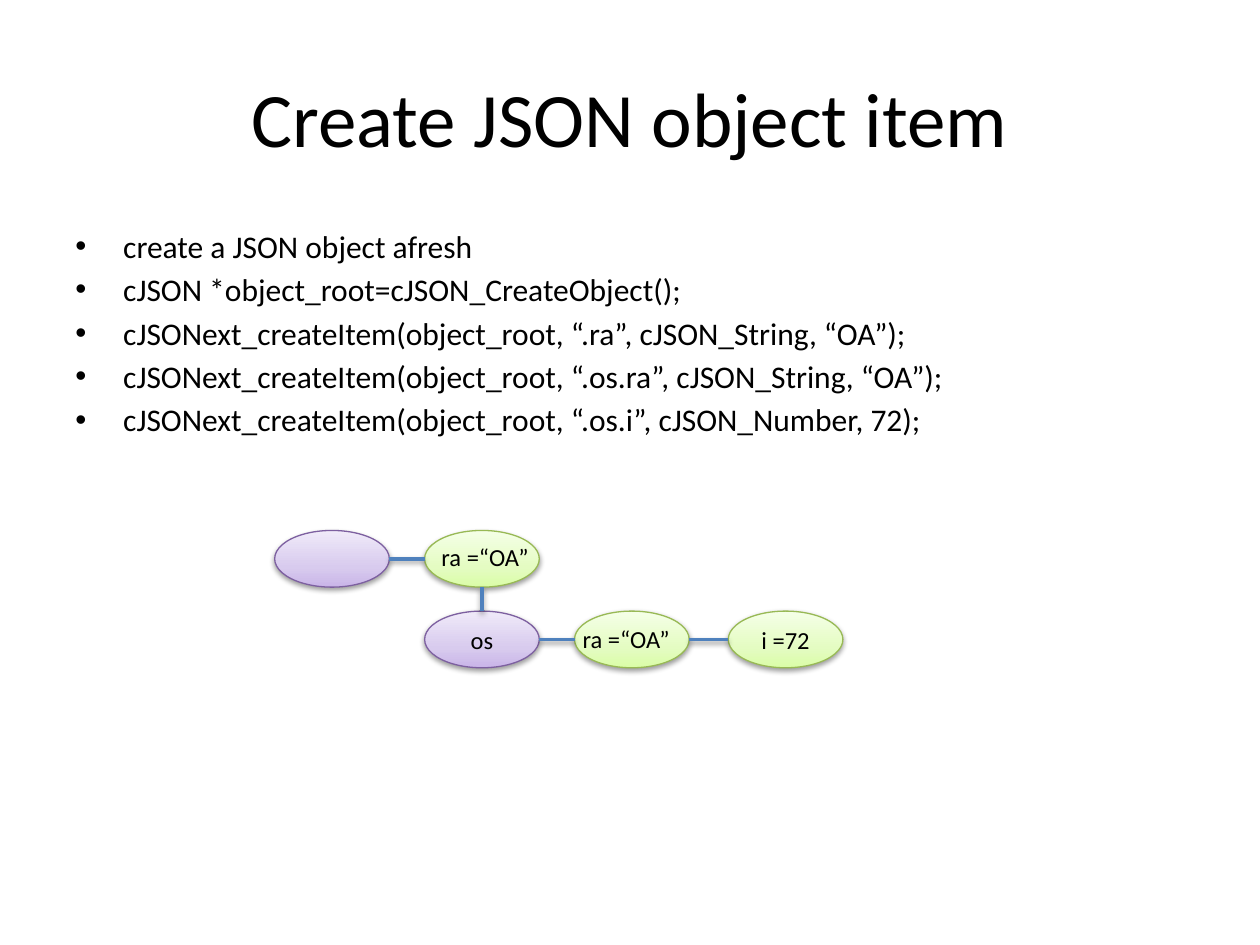
import pptx
import pptx.util
import pptx.dml.color
import pptx.enum.shapes
import pptx.enum.text
import pptx.oxml
import pptx.oxml.ns

Inches = pptx.util.Inches
Pt = pptx.util.Pt
qn = pptx.oxml.ns.qn
ALIGN = pptx.enum.text.PP_ALIGN
ANCHOR = pptx.enum.text.MSO_ANCHOR
NAMESPACE = pptx.oxml.ns.nsdecls("a")

COLORS = {
    "text": "000000",
    "link": "4F81BD",
    "object_line": "7D60A0",
    "value_line": "98B955",
    "shadow": "000000",
}
GRADIENTS = {
    "object": [(0, "C9B5E8"), (35, "D8CBEE"), (100, "F0EAF9")],
    "value": [(0, "DAFDA7"), (35, "E4FCC2"), (100, "F5FFE7")],
}
NODE_WIDTH, NODE_HEIGHT = 0.91, 0.45
CALLS = [
    "create a JSON object afresh",
    "cJSON *object_root=cJSON_CreateObject();",
    "cJSONext_createItem(object_root, “.ra”, cJSON_String, “OA”);",
    "cJSONext_createItem(object_root, “.os.ra”, cJSON_String, “OA”);",
    "cJSONext_createItem(object_root, “.os.i”, cJSON_Number, 72);",
]


def rgb(name):
    return pptx.dml.color.RGBColor.from_string(COLORS[name])


def apply_format(target, values):
    for attribute, value in values.items():
        setattr(target, attribute, value)


def write_line(paragraph, words, size, **layout):
    run = paragraph.add_run()
    run.text = words
    apply_format(run.font, {"size": Pt(size), "name": "Calibri"})
    run.font.color.rgb = rgb("text")
    apply_format(paragraph, layout)


def add_text_box(slide, left, top, width, height, anchor):
    frame = slide.shapes.add_textbox(
        Inches(left), Inches(top), Inches(width), Inches(height)).text_frame
    apply_format(frame, {"word_wrap": True, "vertical_anchor": anchor})
    return frame


def add_shadow(properties):
    properties.append(pptx.oxml.parse_xml(
        f'<a:effectLst {NAMESPACE}><a:outerShdw blurRad="{Pt(3.1)}" dist="{Pt(1.6)}" '
        f'dir="5400000" rotWithShape="0"><a:srgbClr val="{COLORS["shadow"]}">'
        '<a:alpha val="38000"/></a:srgbClr></a:outerShdw></a:effectLst>'))


def add_title(slide, left, top, width, height):
    frame = add_text_box(slide, left, top, width, height, ANCHOR.MIDDLE)
    write_line(frame.paragraphs[0], "Create JSON object item", 44, alignment=ALIGN.CENTER)


def add_calls(slide, left, top, width, height):
    frame = add_text_box(slide, left, top, width, height, ANCHOR.TOP)
    for index, call in enumerate(CALLS):
        paragraph = frame.add_paragraph() if index else frame.paragraphs[0]
        write_line(paragraph, call, 18, space_before=Pt(3.2))
        properties = paragraph._p.get_or_add_pPr()
        properties.set("marL", str(Inches(0.38)))
        properties.set("indent", str(Inches(-0.38)))
        for bullet in ('<a:buFont {} typeface="Arial"/>', '<a:buChar {} char="•"/>'):
            properties.append(pptx.oxml.parse_xml(bullet.format(NAMESPACE)))


def add_node(slide, left, top, kind, label=""):
    node = slide.shapes.add_shape(
        pptx.enum.shapes.MSO_SHAPE.OVAL,
        Inches(left), Inches(top), Inches(NODE_WIDTH), Inches(NODE_HEIGHT))
    node.fill.gradient()
    node.fill.gradient_angle = 90
    properties = node._element.spPr
    stops = properties.find(qn("a:gradFill")).find(qn("a:gsLst"))
    for stop in list(stops):
        stops.remove(stop)
    for position, color in GRADIENTS[kind]:
        stops.append(pptx.oxml.parse_xml(
            f'<a:gs {NAMESPACE} pos="{position * 1000}"><a:srgbClr val="{color}"/></a:gs>'))
    node.line.color.rgb = rgb(f"{kind}_line")
    node.line.width = Pt(0.75)
    add_shadow(properties)
    if label:
        node.text_frame.vertical_anchor = ANCHOR.MIDDLE
        write_line(node.text_frame.paragraphs[0], label, 14, alignment=ALIGN.CENTER)


def add_link(slide, start, end):
    link = slide.shapes.add_connector(
        pptx.enum.shapes.MSO_CONNECTOR.STRAIGHT, *map(Inches, start + end))
    link.line.color.rgb = rgb("link")
    link.line.width = Pt(2)
    add_shadow(link._element.spPr)


def add_label(slide, left, top, words):
    frame = add_text_box(slide, left, top, 1.06, 0.34, ANCHOR.TOP)
    write_line(frame.paragraphs[0], words, 14, alignment=ALIGN.CENTER)


def add_tree(slide, left, top):
    root_x, branch_x, leaf_x, last_x = (left + step for step in (0, 1.19, 2.38, 3.6))
    lower = top + 0.64
    upper_middle, lower_middle = top + NODE_HEIGHT / 2, lower + NODE_HEIGHT / 2
    branch_center = branch_x + NODE_WIDTH / 2
    add_node(slide, branch_x, top, "value")
    add_node(slide, root_x, top, "object")
    add_node(slide, branch_x, lower, "object", "os")
    add_node(slide, leaf_x, lower, "value")
    add_node(slide, last_x, lower, "value", "i =72")
    for before, after, middle in (
            (root_x, branch_x, upper_middle),
            (branch_x, leaf_x, lower_middle),
            (leaf_x, last_x, lower_middle)):
        add_link(slide, (after, middle), (before + NODE_WIDTH, middle))
    add_link(slide, (branch_center, lower), (branch_center, top + NODE_HEIGHT))
    add_label(slide, branch_x - 0.05, top + 0.04, "ra =“OA”")
    add_label(slide, leaf_x - 0.12, lower + 0.05, "ra =“OA”")


presentation = pptx.Presentation()
apply_format(presentation, {"slide_width": Inches(10), "slide_height": Inches(7.5)})
item_slide = presentation.slides.add_slide(presentation.slide_layouts[6])
add_title(item_slide, 0.5, 0.3, 9, 1.25)
add_calls(item_slide, 0.5, 1.75, 9, 4.95)
add_tree(item_slide, 2.18, 4.21)
presentation.save("out.pptx")
